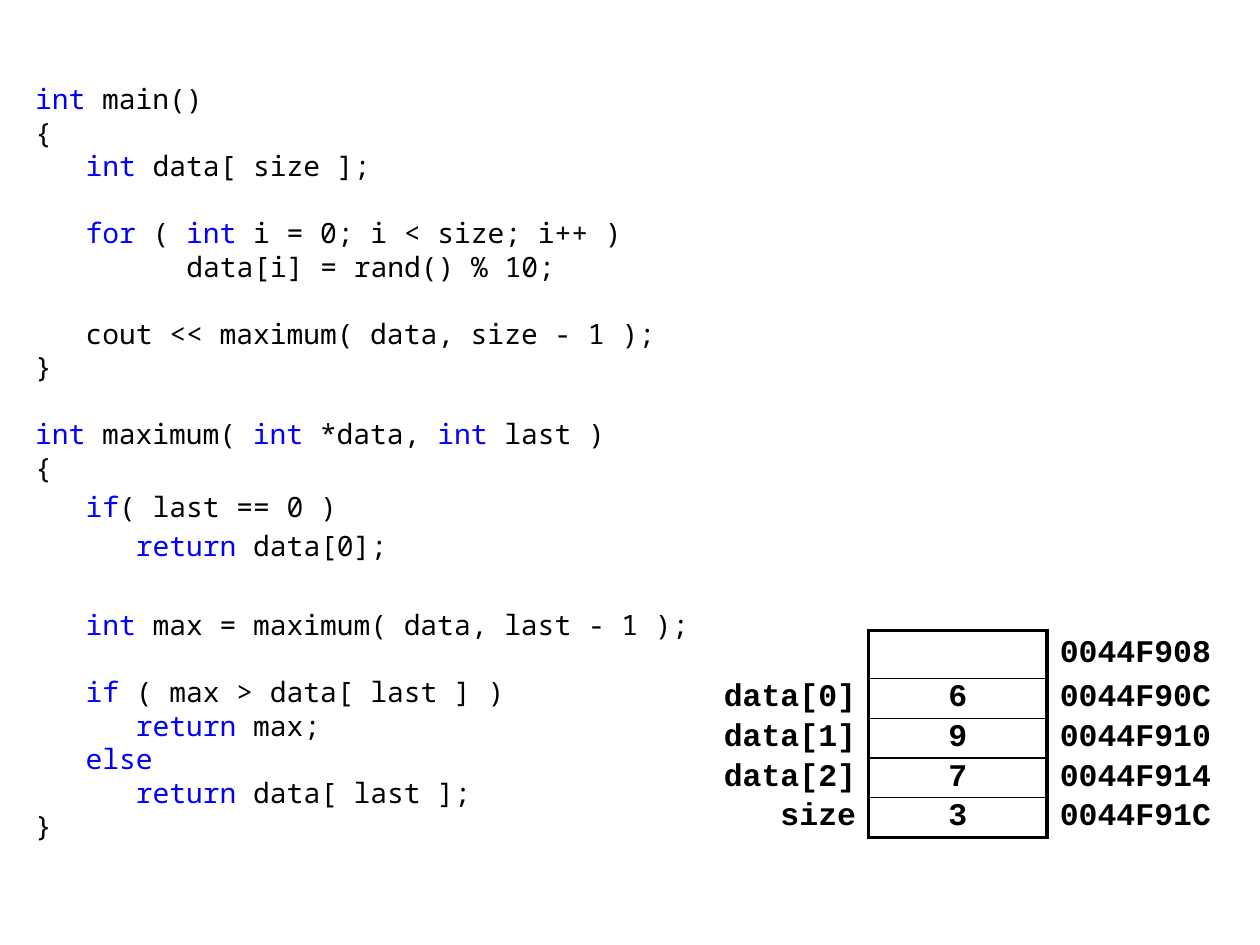
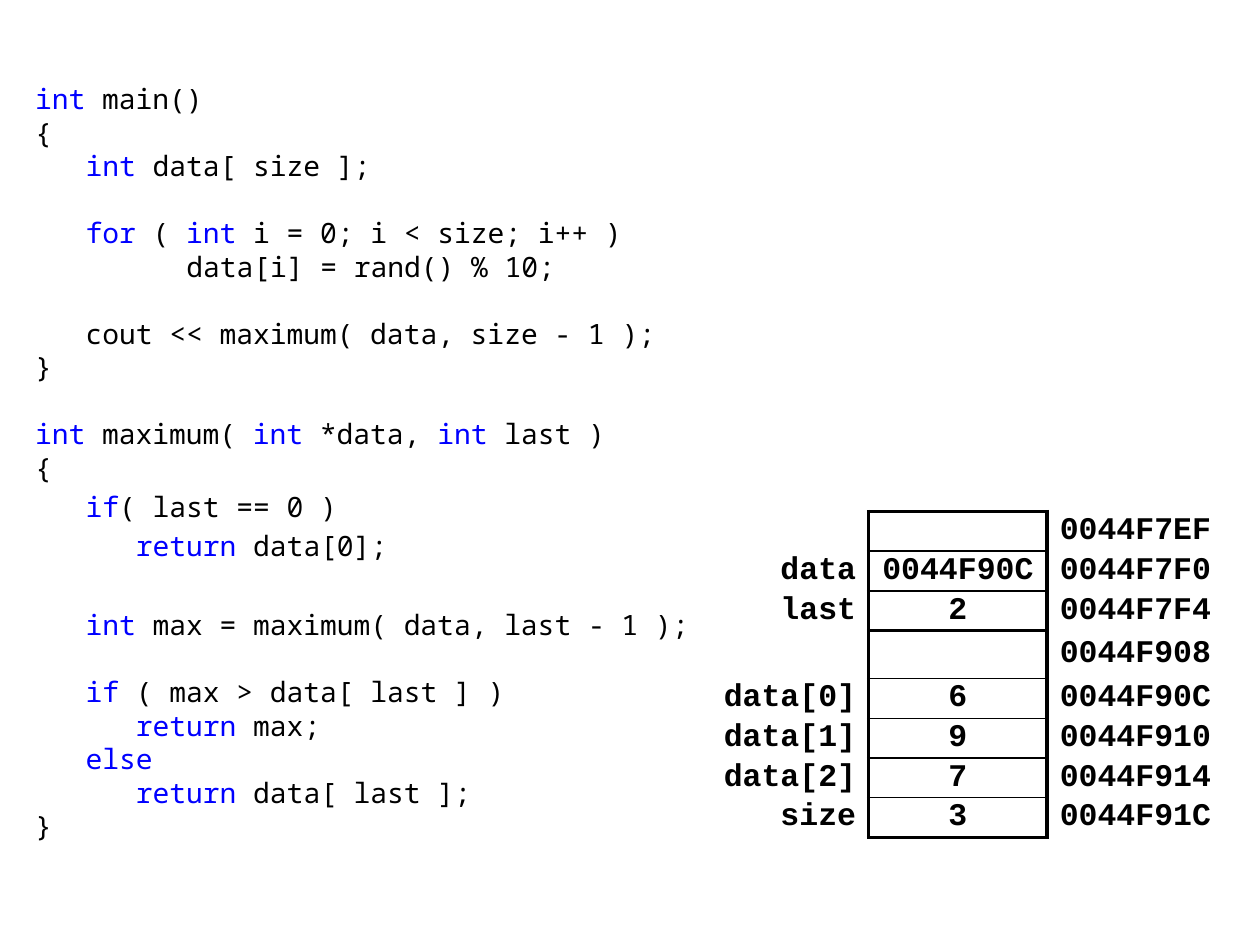
import pptx
import pptx.dml.color
import pptx.enum.text
import pptx.util
from lxml import etree
from pptx.oxml.ns import qn

Cm, Pt = pptx.util.Cm, pptx.util.Pt
ALIGN = pptx.enum.text.PP_ALIGN

BLACK, BLUE = "000000", "0000FF"
CODE_FONT, MEMORY_FONT = "Noto Sans Mono", "Courier New"
CODE_SIZE, MEMORY_SIZE = 16, 18
LINE_PITCH = 19.17
CHAR_WIDTH = 0.6 * CODE_SIZE
PACE = 3.3
BLANK = LINE_PITCH

# Each line: space before in points, indent in characters, text with `keywords`
CODE = [
    (0, 0, "`int` main()"),
    (0, 0, "{"),
    (0, 3, "`int` data[ size ];"),
    (BLANK, 3, "`for` ( `int` i = 0; i < size; i++ )"),
    (0, 9, "data[i] = rand() % 10;"),
    (BLANK, 3, "cout << maximum( data, size - 1 );"),
    (0, 0, "}"),
    (BLANK, 0, "`int` maximum( `int` *data, `int` last )"),
    (0, 0, "{"),
    (PACE, 3, "`if`( last == 0 )"),
    (PACE, 6, "`return` data[0];"),
    (BLANK + 2 * PACE, 3, "`int` max = maximum( data, last - 1 );"),
    (BLANK, 3, "`if` ( max > data[ last ] )"),
    (0, 6, "`return` max;"),
    (0, 3, "`else`"),
    (0, 6, "`return` data[ last ];"),
    (0, 0, "}"),
]

MAIN_FRAME = [
    ("", "", "0044F908"),
    ("data[0]", "6", "0044F90C"),
    ("data[1]", "9", "0044F910"),
    ("data[2]", "7", "0044F914"),
    ("size", "3", "0044F91C"),
]
MAXIMUM_FRAME = [
    ("", "", "0044F7EF"),
    ("data", "0044F90C", "0044F7F0"),
    ("last", "2", "0044F7F4"),
]
STACKS = [[MAIN_FRAME], [MAXIMUM_FRAME, MAIN_FRAME]]

STACK_ROWS = 14
ROW_HEIGHT, TALL_HEIGHT = 0.8, 0.97
COLUMNS = [(3.2, ALIGN.RIGHT), (3.6, ALIGN.CENTER), (3.6, ALIGN.LEFT)]
STACK_LEFT, STACK_TOP = 14.31, 5.51
THICK, THIN = 2.25, 1
NO_GRID_STYLE = "{2D5ABB26-0587-4C30-8999-92F81FD0307C}"


def rgb(value):
    return pptx.dml.color.RGBColor.from_string(value)


def style(font, name, size, bold=False):
    font.name, font.size, font.bold = name, Pt(size), bold
    font.color.rgb = rgb(BLACK)


def add_code(slide):
    listing = slide.shapes.add_textbox(Cm(0.71), Cm(1.52), Cm(13.61), Cm(16.41)).text_frame
    listing.word_wrap = True
    listing.margin_left = listing.margin_right = 0
    for number, (gap, indent, text) in enumerate(CODE):
        line = listing.add_paragraph() if number else listing.paragraphs[0]
        line.space_before = Pt(gap)
        line.line_spacing = Pt(LINE_PITCH)
        line._p.get_or_add_pPr().set("marL", str(Pt(indent * CHAR_WIDTH)))
        style(line.font, CODE_FONT, CODE_SIZE)
        for position, part in enumerate(text.split("`")):
            if part:
                run = line.add_run()
                run.text = part
                style(run.font, CODE_FONT, CODE_SIZE)
                run.font.color.rgb = rgb(BLUE if position % 2 else BLACK)


def set_borders(cell, widths):
    properties = cell._tc.get_or_add_tcPr()
    for side in "LRTB":
        if side in widths:
            border = etree.SubElement(properties, qn(f"a:ln{side}"), w=str(Pt(widths[side])))
            fill = etree.SubElement(border, qn("a:solidFill"))
            etree.SubElement(fill, qn("a:srgbClr"), val=BLACK)


def row_borders(frames):
    rows = [[{}, {}, {}] for _ in range(STACK_ROWS)]
    row = STACK_ROWS - sum(map(len, frames))
    rows[row - 1][1]["B"] = THICK
    for frame in frames:
        for position in range(len(frame)):
            rows[row] = [
                {"R": THICK},
                {"L": THICK, "R": THICK,
                 "T": THIN if position else THICK,
                 "B": THIN if position < len(frame) - 1 else THICK},
                {"L": THICK},
            ]
            row += 1
    return rows


def add_stack(slide, frames):
    entries = [entry for frame in frames for entry in frame]
    entries = [("", "", "")] * (STACK_ROWS - len(entries)) + entries
    tall_row = STACK_ROWS - len(MAIN_FRAME)
    width = sum(column[0] for column in COLUMNS)
    height = ROW_HEIGHT * (STACK_ROWS - 1) + TALL_HEIGHT
    stack = slide.shapes.add_table(STACK_ROWS, len(COLUMNS), Cm(STACK_LEFT), Cm(STACK_TOP),
                                   Cm(width), Cm(height)).table
    stack.first_row = stack.horz_banding = False
    stack._tbl.tblPr.find(qn("a:tableStyleId")).text = NO_GRID_STYLE
    for column, (column_width, _) in zip(stack.columns, COLUMNS):
        column.width = Cm(column_width)
    for number, (entry, borders) in enumerate(zip(entries, row_borders(frames))):
        row = stack.rows[number]
        row.height = Cm(TALL_HEIGHT if number == tall_row else ROW_HEIGHT)
        for cell, text, widths, (_, alignment) in zip(row.cells, entry, borders, COLUMNS):
            cell.margin_top = cell.margin_bottom = 0
            cell.vertical_anchor = pptx.enum.text.MSO_ANCHOR.MIDDLE
            set_borders(cell, widths)
            cell.fill.background()
            cell.text = text
            paragraph = cell.text_frame.paragraphs[0]
            paragraph.alignment = alignment
            style(paragraph.font, MEMORY_FONT, MEMORY_SIZE, bold=True)


def main():
    deck = pptx.Presentation()
    deck.slide_width, deck.slide_height = Cm(25.4), Cm(19.05)
    for frames in STACKS:
        slide = deck.slides.add_slide(deck.slide_layouts[6])
        add_code(slide)
        add_stack(slide, frames)
    deck.save("out.pptx")


if __name__ == "__main__":
    main()
